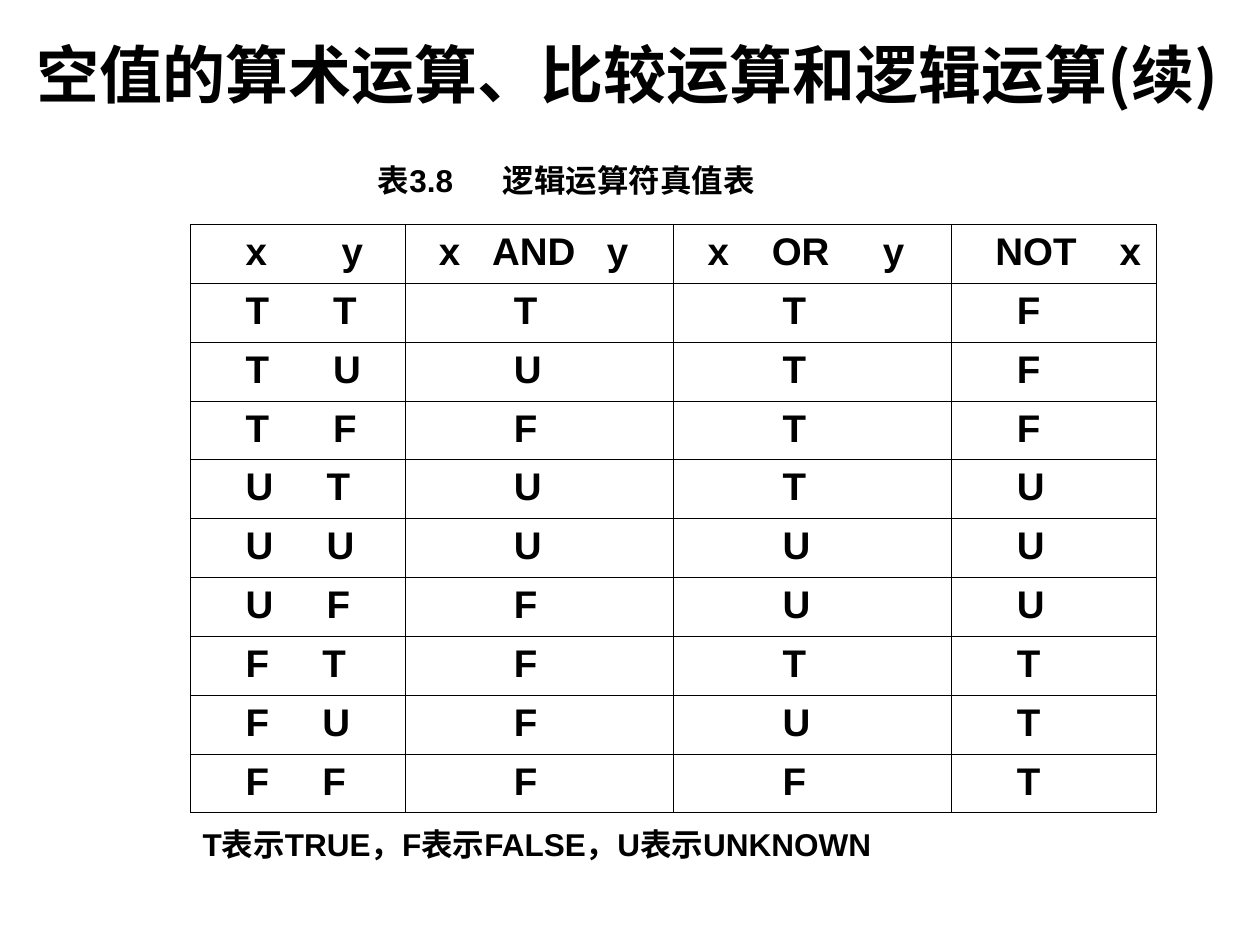
from dataclasses import dataclass

from lxml.etree import SubElement
from pptx import Presentation
from pptx.dml.color import RGBColor
from pptx.enum.text import MSO_ANCHOR as Anchor, PP_ALIGN as Align
from pptx.oxml.ns import qn
from pptx.util import Pt

LATIN = "Arial"
CHINESE = "Noto Sans CJK SC"
BLACK = "000000"
TABLE_SIZE = 22
ROW_HEIGHT = 33.62
PADDING = 7.2


@dataclass(frozen=True)
class TextBox:
    left: float
    top: float
    width: float
    height: float
    size: float
    runs: tuple[tuple[str, str], ...]
    inset: float = 7.2
    align: Align = Align.LEFT
    anchor: Anchor = Anchor.TOP
    tabs: tuple[float, ...] = ()


@dataclass(frozen=True)
class Column:
    width: float
    header: str
    header_indent: float
    header_tabs: tuple[float, ...]
    body_indent: float


TEXT_BOXES = (
    TextBox(0, -2.9, 717, 89.3, 36,
            (("空值", LATIN), ("的算术运算、比较运算和逻辑运算(续)", CHINESE)),
            inset=0, align=Align.CENTER, anchor=Anchor.MIDDLE),
    TextBox(108.7, 468, 447, 29, 18,
            (("T表示TRUE，F表示FALSE，U表示UNKNOWN", LATIN),), inset=7.2),
    TextBox(208.8, 88.6, 270, 29, 18,
            (("表3.8\t逻辑运算符真值表", LATIN),), tabs=(71.4,)),
)

COLUMNS = (
    Column(122.7, "x\ty", 31.6, (55,), 31.6),
    Column(153.6, "x\tAND\ty", 19.4, (30.5, 96), 62.2),
    Column(158.4, "x\tOR\ty", 19.4, (36.7, 100.2), 62.2),
    Column(117.5, "NOT\tx", 25.5, (70.9,), 37.7),
)

SECOND_OPERAND_TAB = {"T": 50.1, "U": 46.4, "F": 44}
TRUTH_ORDER = "FUT"
NEGATION = {"T": "F", "U": "U", "F": "T"}


def colour(value: str) -> RGBColor:
    return RGBColor.from_string(value)


def add_run(paragraph, text: str, font_name: str, size: float) -> None:
    run = paragraph.add_run()
    run.text = text
    run.font.name = font_name
    run.font.size = Pt(size)
    run.font.bold = True
    run.font.color.rgb = colour(BLACK)
    SubElement(run.font._element, qn("a:ea"), typeface=CHINESE)


def set_tabs(paragraph, positions: tuple[float, ...]) -> None:
    if positions:
        properties = paragraph._p.get_or_add_pPr()
        tab_list = SubElement(properties, qn("a:tabLst"))
        for position in positions:
            SubElement(tab_list, qn("a:tab"), pos=str(int(Pt(position))), algn="l")


def add_text_box(slide, box: TextBox) -> None:
    shape = slide.shapes.add_textbox(
        Pt(box.left), Pt(box.top), Pt(box.width), Pt(box.height))
    frame = shape.text_frame
    frame.word_wrap = True
    frame.vertical_anchor = box.anchor
    frame.margin_left = frame.margin_right = Pt(box.inset)
    paragraph = frame.paragraphs[0]
    set_tabs(paragraph, box.tabs)
    paragraph.alignment = box.align
    for text, font_name in box.runs:
        add_run(paragraph, text, font_name, box.size)


def add_borders(cell) -> None:
    properties = cell._tc.get_or_add_tcPr()
    for index, side in enumerate(("lnL", "lnR", "lnT", "lnB")):
        line = SubElement(properties, qn(f"a:{side}"), w=str(int(Pt(0.45))))
        fill = SubElement(line, qn("a:solidFill"))
        SubElement(fill, qn("a:srgbClr"), val=BLACK)
        properties.insert(index, line)


def fill_cell(cell, text: str, indent: float, tabs: tuple[float, ...]) -> None:
    cell.fill.background()
    add_borders(cell)
    cell.margin_left = Pt(indent)
    cell.margin_right = Pt(PADDING / 2)
    paragraph = cell.text_frame.paragraphs[0]
    set_tabs(paragraph, tabs)
    add_run(paragraph, text, LATIN, TABLE_SIZE)


def truth_row(x: str, y: str) -> tuple[str, str, str, str]:
    conjunction = min(x, y, key=TRUTH_ORDER.index)
    disjunction = max(x, y, key=TRUTH_ORDER.index)
    return f"{x}\t{y}", conjunction, disjunction, NEGATION[x]


def add_truth_table(slide) -> None:
    operands = [(x, y) for x in "TUF" for y in "TUF"]
    row_count = len(operands) + 1
    total_width = sum(column.width for column in COLUMNS)
    table = slide.shapes.add_table(
        row_count, len(COLUMNS), Pt(108.7), Pt(128.2),
        Pt(total_width), Pt(ROW_HEIGHT * row_count)).table
    table.first_row = False
    table.horz_banding = False
    for row in table.rows:
        row.height = Pt(ROW_HEIGHT)
    for index, column in enumerate(COLUMNS):
        table.columns[index].width = Pt(column.width)
        fill_cell(table.cell(0, index), column.header,
                  column.header_indent, column.header_tabs)
    for row_index, (x, y) in enumerate(operands, start=1):
        for index, text in enumerate(truth_row(x, y)):
            tabs = (SECOND_OPERAND_TAB[x],) if index == 0 else ()
            fill_cell(table.cell(row_index, index), text,
                      COLUMNS[index].body_indent, tabs)


def main() -> None:
    presentation = Presentation()
    presentation.slide_width = Pt(720)
    presentation.slide_height = Pt(540)
    slide = presentation.slides.add_slide(presentation.slide_layouts[6])
    title, legend, caption = TEXT_BOXES
    add_text_box(slide, title)
    add_truth_table(slide)
    add_text_box(slide, legend)
    add_text_box(slide, caption)
    presentation.save("out.pptx")


if __name__ == "__main__":
    main()
